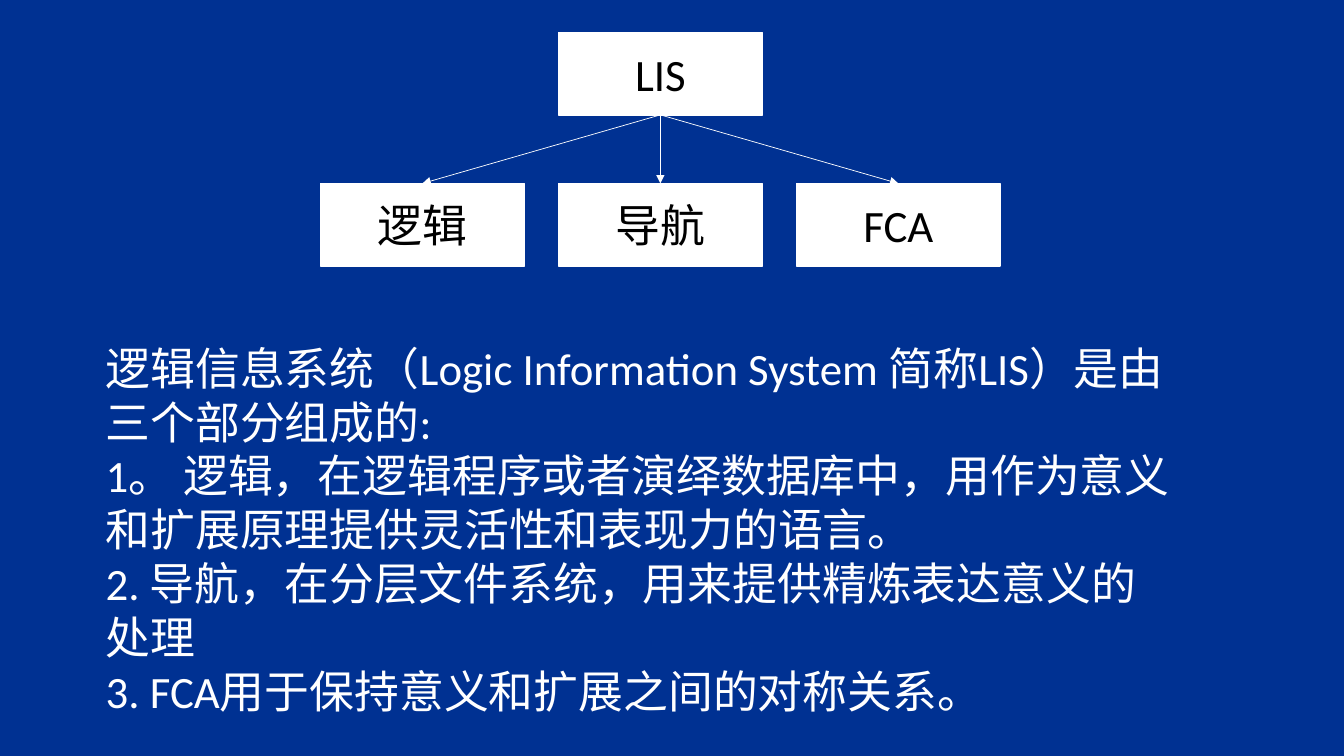
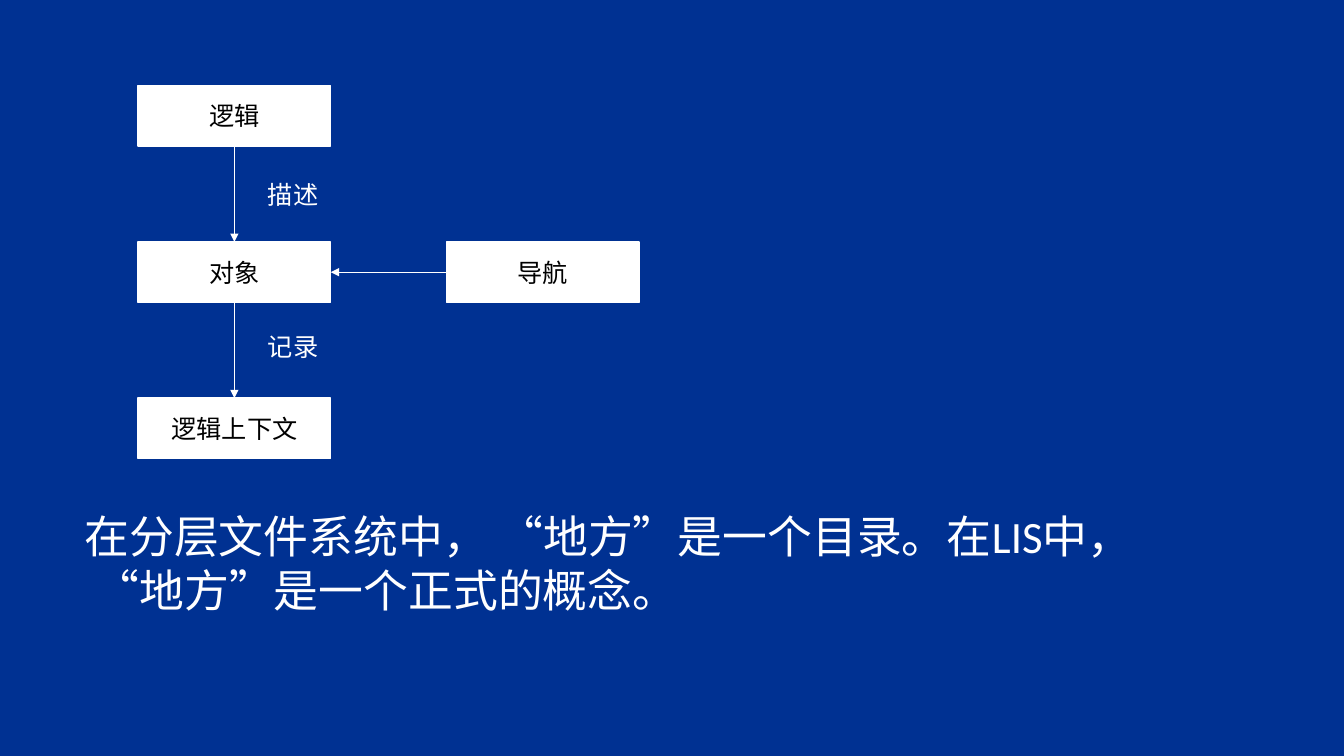
from dataclasses import dataclass

from lxml import etree
from pptx import Presentation
from pptx import util as u
from pptx.dml.color import RGBColor
from pptx.enum import shapes, text
from pptx.oxml.ns import qn


@dataclass(frozen=True)
class Theme:
    background: RGBColor = RGBColor(0x00, 0x31, 0x92)
    light: RGBColor = RGBColor(0xFF, 0xFF, 0xFF)
    dark: RGBColor = RGBColor(0x00, 0x00, 0x00)
    font: str = "Calibri"
    large: int = 32
    small: int = 18
    border: float = 1
    arrow: float = 0.5


@dataclass(frozen=True)
class Grid:
    left: float
    top: float
    col_step: float
    row_step: float
    width: float
    height: float

    def cell(self, col, row):
        return (self.left + col * self.col_step, self.top + row * self.row_step,
                self.width, self.height)


THEME = Theme()
TREE = Grid(3.18, 0.32, 2.36, 1.5, 2.02, 0.82)
FLOW = Grid(1.37, 0.85, 3.06, 1.55, 1.91, 0.6)
TOP, LEFT, BOTTOM, RIGHT = range(4)


def inches(box):
    return [u.Inches(v) for v in box]


def add_run(p, words, size, color):
    r = p.add_run()
    r.text = words
    r.font.size = u.Pt(size)
    r.font.name = THEME.font
    r.font.color.rgb = color


def add_node(s, box, words, size):
    sp = s.shapes.add_shape(shapes.MSO_SHAPE.RECTANGLE, *inches(box))
    sp.shadow.inherit = False
    sp.fill.solid()
    sp.fill.fore_color.rgb = THEME.light
    sp.line.color.rgb = THEME.light
    sp.line.width = u.Pt(THEME.border)
    tf = sp.text_frame
    tf.vertical_anchor = text.MSO_ANCHOR.MIDDLE
    p = tf.paragraphs[0]
    p.alignment = text.PP_ALIGN.CENTER
    add_run(p, words, size, THEME.dark)
    return sp


def add_arrow(s, start, start_side, end, end_side):
    cx = s.shapes.add_connector(shapes.MSO_CONNECTOR.STRAIGHT, 0, 0, 0, 0)
    cx.begin_connect(start, start_side)
    cx.end_connect(end, end_side)
    cx.line.color.rgb = THEME.light
    cx.line.width = u.Pt(THEME.arrow)
    etree.SubElement(cx.line._get_or_add_ln(), qn("a:tailEnd"), type="triangle")
    etree.SubElement(cx._element.spPr, qn("a:effectLst"))


def add_text(s, box, paragraphs, size):
    tf = s.shapes.add_textbox(*inches(box)).text_frame
    tf.word_wrap = True
    tf.auto_size = text.MSO_AUTO_SIZE.SHAPE_TO_FIT_TEXT
    for i, words in enumerate(paragraphs):
        p = tf.add_paragraph() if i else tf.paragraphs[0]
        add_run(p, words, size, THEME.light)


def build_parts(s):
    add_text(s, (0.95, 3.33, 10.77, 3.87), [
        "逻辑信息系统（Logic Information System 简称LIS）是由三个部分组成的:",
        "1。\u00a0逻辑，在逻辑程序或者演绎数据库中，用作为意义和扩展原理提供灵活性和表现力的语言。",
        "2.\u00a0导航，在分层文件系统，用来提供精炼表达意义的处理",
        "3.\u00a0FCA用于保持意义和扩展之间的对称关系。",
    ], THEME.large)
    root = add_node(s, TREE.cell(1, 0), "LIS", THEME.large)
    for col, words in enumerate(["逻辑", "导航", "FCA"]):
        part = add_node(s, TREE.cell(col, 1), words, THEME.large)
        add_arrow(s, root, BOTTOM, part, TOP)


def build_flow(s):
    logic, target, context = [
        add_node(s, FLOW.cell(0, row), words, THEME.small)
        for row, words in enumerate(["逻辑", "对象", "逻辑上下文"])]
    navigation = add_node(s, FLOW.cell(1, 1), "导航", THEME.small)
    add_arrow(s, logic, BOTTOM, target, TOP)
    add_arrow(s, target, BOTTOM, context, TOP)
    add_arrow(s, navigation, LEFT, target, RIGHT)
    for top, words in [(1.73, "描述"), (3.24, "记录")]:
        add_text(s, (2.56, top, 0.83, 0.4), [words], THEME.small)
    add_text(s, (0.74, 5, 10.58, 1.18), [
        "在分层文件系统中， “地方”是一个目录。在LIS中， “地方”是一个正式的概念。",
    ], THEME.large)


def main():
    prs = Presentation()
    prs.slide_width, prs.slide_height = u.Inches(13.33), u.Inches(7.5)
    fill = prs.slide_master.background.fill
    fill.solid()
    fill.fore_color.rgb = THEME.background
    blank = prs.slide_layouts.get_by_name("Blank")
    for build in (build_parts, build_flow):
        build(prs.slides.add_slide(blank))
    prs.save("out.pptx")


main()
